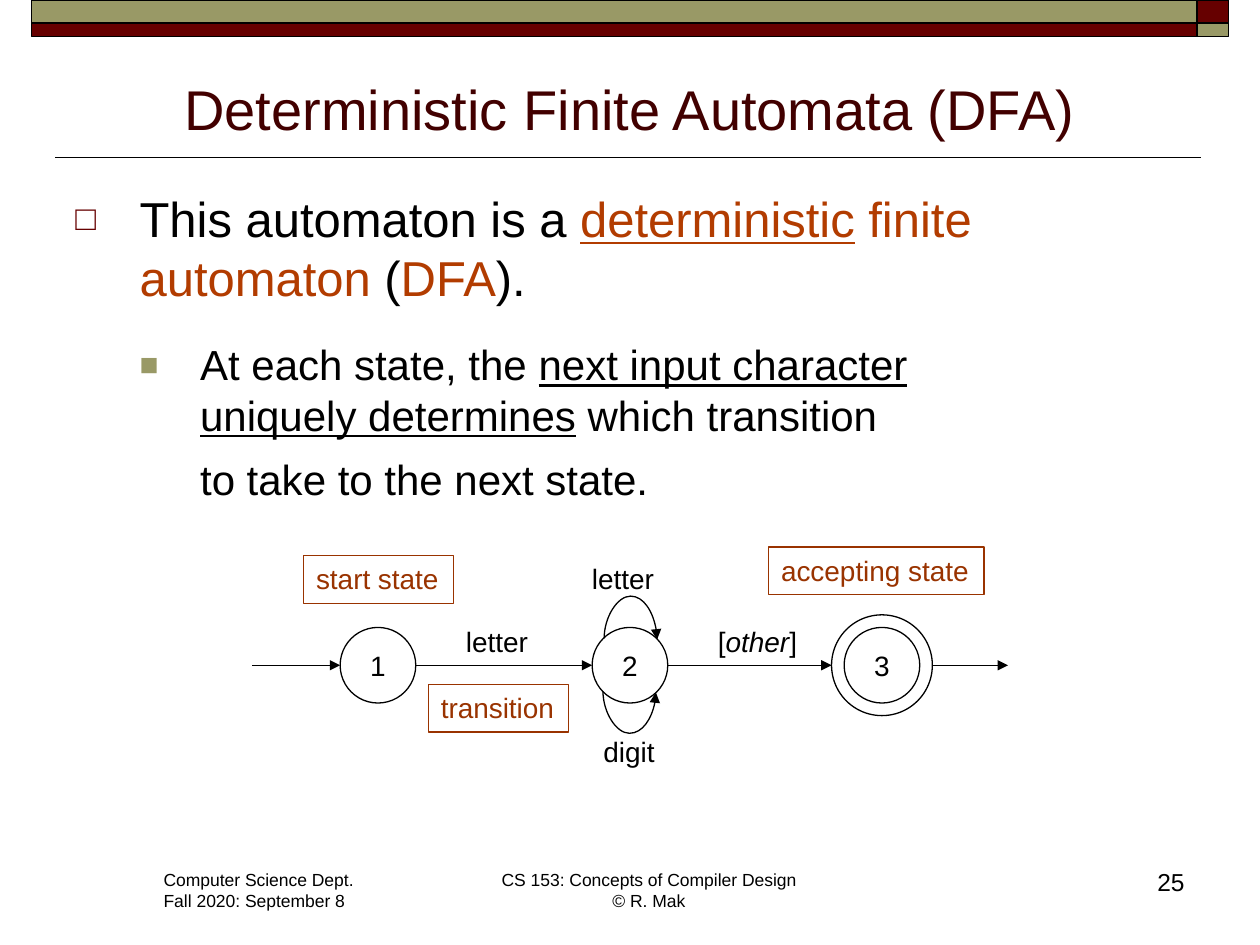
"""Build the Deterministic Finite Automata slide."""
from lxml import etree
from pptx import Presentation
from pptx.dml.color import RGBColor
from pptx.enum.shapes import MSO_CONNECTOR, MSO_SHAPE
from pptx.enum.text import MSO_ANCHOR, PP_ALIGN
from pptx.oxml.ns import qn
from pptx.util import Inches, Pt

LEFT, CENTER, RIGHT = PP_ALIGN.LEFT, PP_ALIGN.CENTER, PP_ALIGN.RIGHT
TOP, MIDDLE, BOTTOM = MSO_ANCHOR.TOP, MSO_ANCHOR.MIDDLE, MSO_ANCHOR.BOTTOM
RECTANGLE, OVAL = MSO_SHAPE.RECTANGLE, MSO_SHAPE.OVAL
STRAIGHT, CURVE = MSO_CONNECTOR.STRAIGHT, MSO_CONNECTOR.CURVE
BLACK, MAROON, OLIVE = "000000", "660000", "999966"
TITLE_COLOR, RUST, ORANGE = "420000", "993300", "B23C00"


def add_box(kind, box, fill=None, line=None, weight=0.75):
    """Add an outlined shape, filled only when a fill is given."""
    shape = slide.shapes.add_shape(kind, *[Inches(value) for value in box])
    shape.shadow.inherit = False
    if fill:
        shape.fill.solid()
        shape.fill.fore_color.rgb = RGBColor.from_string(fill)
    else:
        shape.fill.background()
    shape.line.color.rgb = RGBColor.from_string(line or BLACK)
    shape.line.width = Pt(weight)
    return shape


def write(paragraph, runs, size, color=BLACK, align=LEFT):
    """Write runs of text, each with optional size, color and style overrides."""
    paragraph.alignment = align
    for text, style in runs:
        for index, part in enumerate(text.split("\n")):
            if index:
                paragraph.add_line_break()
            run = paragraph.add_run()
            run.text = part
            run.font.name = "Arial"
            run.font.size = Pt(style.get("size", size))
            run.font.color.rgb = RGBColor.from_string(style.get("color", color))
            run.font.underline = style.get("underline")
            run.font.italic = style.get("italic")


presentation = Presentation()
presentation.slide_width, presentation.slide_height = Inches(10), Inches(7.5)
slide = presentation.slides.add_slide(presentation.slide_layouts[6])

for left, width, colors in [(0.25, 9.25, (OLIVE, MAROON)), (9.5, 0.25, (MAROON, OLIVE))]:
    for top, height, color in zip((0, 0.18), (0.18, 0.11), colors):
        add_box(RECTANGLE, (left, top, width, height), color, weight=1)

STATE_Y, STATE_SIZE = 5.28, 0.6
for number, center in enumerate((3, 5, 7), start=1):
    corner = (center - STATE_SIZE / 2, STATE_Y - STATE_SIZE / 2)
    state = add_box(OVAL, (*corner, STATE_SIZE, STATE_SIZE))
    state.text_frame.word_wrap = False
    state.text_frame.vertical_anchor = MIDDLE
    write(state.text_frame.paragraphs[0], [(str(number), {})], 16, align=CENTER)
add_box(OVAL, (6.6, STATE_Y - 0.4, 0.8, 0.8))

connectors = [(STRAIGHT, (9.53, 1.25, 0.44, 1.25), 1, None, None)]
for start, end in [(2, 2.7), (3.3, 4.7), (5.3, 6.6), (7.4, 8)]:
    connectors.append((STRAIGHT, (start, STATE_Y, end, STATE_Y), 0.75, None, None))
connectors += [
    (CURVE, (5, 5.28, 4.99, 5.7), 0.75, 270, 3400000),
    (CURVE, (5, 5.28, 5.01, 4.86), 0.75, 90, -3400000),
]
for kind, ends, weight, rotation, bend in connectors:
    connector = slide.shapes.add_connector(kind, *[Inches(value) for value in ends])
    connector.line.color.rgb = RGBColor.from_string(BLACK)
    connector.line.width = Pt(weight)
    properties = connector.element.spPr
    if weight < 1:
        etree.SubElement(connector.line._get_or_add_ln(), qn("a:tailEnd"), type="triangle")
    etree.SubElement(properties, qn("a:effectLst"))
    if rotation:
        properties.find(qn("a:xfrm")).set("rot", str(rotation * 60000))
        guides = properties.find(qn("a:prstGeom")).find(qn("a:avLst"))
        etree.SubElement(guides, qn("a:gd"), name="adj1", fmla=f"val {bend}")

for text, box in [
    ("start state", (2.41, 4.41, 1.19, 0.38)),
    ("accepting state", (6.1, 4.34, 1.71, 0.38)),
    ("transition", (3.4, 5.43, 1.11, 0.38)),
]:
    callout = add_box(RECTANGLE, box, line=RUST)
    callout.text_frame.word_wrap = False
    callout.text_frame.vertical_anchor = TOP
    write(callout.text_frame.paragraphs[0], [(text, {})], 16, RUST)

body = [
    ([("This automaton is a ", {}),
      ("deterministic", {"color": ORANGE, "underline": True}),
      (" finite automaton", {"color": ORANGE}), (" (", {}),
      ("DFA", {"color": ORANGE}), (").", {})], 28),
    ([("At each state, the ", {}),
      ("next input character\nuniquely determines", {"underline": True}),
      (" which transition \nto take to the next state.", {}), (" ", {"size": 32})], 24),
]
other = [("[", {}), ("other", {"italic": True}), ("]", {})]
texts = [
    ((1.2, 6.85, 1.72, 0.44), [([("Computer Science Dept.", {})], 10),
                               ([("Fall 2020: September 8", {})], 10)], BLACK, LEFT, TOP, False),
    ((3.87, 6.85, 2.56, 0.44),
     [([("CS 153: Concepts of Compiler Design\n© R. Mak", {})], 10)], BLACK, CENTER, TOP, False),
    ((7.42, 6.83, 2.08, 0.5), [([("25", {})], 14)], BLACK, RIGHT, TOP, True),
    ((0.5, 0.45, 9, 0.72),
     [([("Deterministic Finite Automata (DFA)", {})], 32)], TITLE_COLOR, CENTER, BOTTOM, True),
    ((3.6, 4.91, 0.7, 0.37), [([("letter", {})], 16)], BLACK, LEFT, TOP, False),
    ((4.6, 4.41, 0.7, 0.37), [([("letter", {})], 16)], BLACK, LEFT, TOP, False),
    ((4.69, 5.78, 0.61, 0.37), [([("digit", {})], 16)], BLACK, LEFT, TOP, False),
    ((5.6, 4.91, 0.83, 0.37), [(other, 16)], BLACK, LEFT, TOP, False),
    ((0.5, 1.45, 9, 2.8), body, BLACK, LEFT, TOP, True),
]
for box, paragraphs, color, align, anchor, wrap in texts:
    text_frame = slide.shapes.add_textbox(*[Inches(value) for value in box]).text_frame
    text_frame.word_wrap = wrap
    text_frame.vertical_anchor = anchor
    for index, (runs, size) in enumerate(paragraphs):
        paragraph = text_frame.add_paragraph() if index else text_frame.paragraphs[0]
        write(paragraph, runs, size, color, align)

bullets = [("□", MAROON, 70, 0.51, 0.51, 0), ("■", OLIVE, 75, 0.99, 0.48, 18.5)]
for level, (paragraph, bullet) in enumerate(zip(text_frame.paragraphs, bullets)):
    character, color, percent, margin, hanging, space = bullet
    paragraph.level = level
    paragraph.space_before = Pt(space)
    properties = paragraph._p.get_or_add_pPr()
    properties.set("marL", str(Inches(margin)))
    properties.set("indent", str(-Inches(hanging)))
    bullet_color = etree.SubElement(properties, qn("a:buClr"))
    etree.SubElement(bullet_color, qn("a:srgbClr"), val=color)
    etree.SubElement(properties, qn("a:buSzPct"), val=str(percent * 1000))
    etree.SubElement(properties, qn("a:buFont"), typeface="Arial")
    etree.SubElement(properties, qn("a:buChar"), char=character)

presentation.save("out.pptx")
